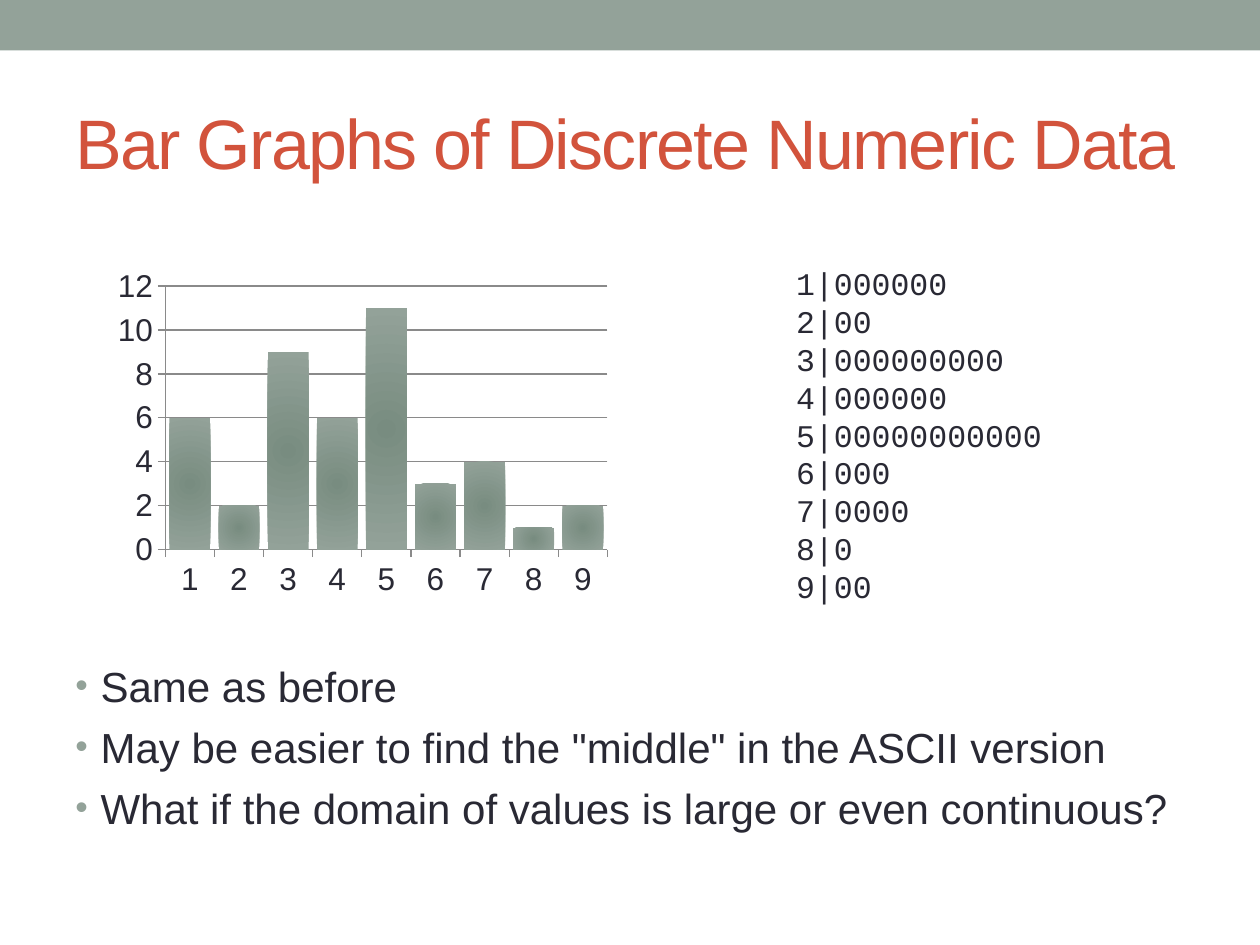
from lxml import etree
from pptx import Presentation
from pptx.chart.data import CategoryChartData
from pptx.dml.color import RGBColor
from pptx.enum import chart as ch, shapes, text
from pptx.oxml.ns import qn
from pptx.util import Inches, Pt

COLORS = {
    "sage": "93A299",
    "sage_dark": "788C80",
    "rust": "D2533C",
    "ink": "292934",
    "grid": "8A8A8A",
}
COUNTS = [6, 2, 9, 6, 11, 3, 4, 1, 2]
POINTS = [
    "Same as before",
    'May be easier to find the "middle" in the ASCII version',
    "What if the domain of values is large or even continuous?",
]


def rgb(name):
    return RGBColor.from_string(COLORS[name])


def add_bullet(paragraph):
    props = paragraph._p.get_or_add_pPr()
    props.set("marL", str(Inches(0.2)))
    props.set("indent", str(Inches(-0.2)))
    color = etree.SubElement(props, qn("a:buClr"))
    etree.SubElement(color, qn("a:srgbClr"), val=COLORS["sage"])
    etree.SubElement(props, qn("a:buSzPct"), val="85000")
    etree.SubElement(props, qn("a:buFont"), typeface="Arial")
    etree.SubElement(props, qn("a:buChar"), char="•")


def write(frame, lines, size, font="Arial", color="ink", wrap=True,
          anchor=text.MSO_ANCHOR.TOP, bullets=False, gap=0, spacing=None):
    """Fill a text frame with one paragraph per line."""
    frame.word_wrap = wrap
    frame.vertical_anchor = anchor
    for i, line in enumerate(lines):
        paragraph = frame.paragraphs[0] if i == 0 else frame.add_paragraph()
        paragraph.alignment = text.PP_ALIGN.LEFT
        paragraph.space_before = Pt(gap if i else 0)
        if bullets:
            add_bullet(paragraph)
        run = paragraph.add_run()
        run.text = line
        run.font.size = Pt(size)
        run.font.name = font
        run.font.color.rgb = rgb(color)
        if spacing is not None:
            run.font._element.set("spc", str(int(spacing * 100)))


def add_band(slide, left, top, width, height):
    band = slide.shapes.add_shape(shapes.MSO_SHAPE.RECTANGLE, left, top, width, height)
    band.shadow.inherit = False
    band.fill.solid()
    band.fill.fore_color.rgb = rgb("sage")
    band.line.fill.background()


def set_title(slide, left, top, width, height):
    title = slide.shapes.title
    title.left, title.top, title.width, title.height = left, top, width, height
    title.text_frame.auto_size = text.MSO_AUTO_SIZE.NONE
    write(title.text_frame, ["Bar Graphs of Discrete Numeric Data"], 40,
          color="rust", anchor=text.MSO_ANCHOR.MIDDLE, spacing=-1)


def fill_radial(fill, center, edge):
    fill.gradient()
    for stop, name in zip(fill.gradient_stops, (center, edge)):
        stop.color.rgb = rgb(name)
    gradient = fill._xPr.find(qn("a:gradFill"))
    gradient.remove(gradient.find(qn("a:lin")))
    circle = etree.SubElement(gradient, qn("a:path"))
    circle.set("path", "circle")
    etree.SubElement(circle, qn("a:fillToRect"), l="50000", t="50000", r="50000", b="50000")


def fix_plot_area(chart, x, y, w, h):
    """Place the inner plot area by fractions of the chart's size."""
    plot_area = chart._chartSpace.chart.plotArea
    old = plot_area.find(qn("c:layout"))
    if old is not None:
        plot_area.remove(old)
    layout = etree.Element(qn("c:layout"))
    plot_area.insert(0, layout)
    manual = etree.SubElement(layout, qn("c:manualLayout"))
    settings = {"layoutTarget": "inner", "xMode": "edge", "yMode": "edge",
                "x": x, "y": y, "w": w, "h": h}
    for tag, value in settings.items():
        etree.SubElement(manual, qn(f"c:{tag}"), val=str(value))


def add_bar_graph(slide, left, top, width, height):
    data = CategoryChartData()
    data.categories = [str(n) for n in range(1, len(COUNTS) + 1)]
    data.add_series("Series 1", COUNTS)
    chart = slide.shapes.add_chart(
        ch.XL_CHART_TYPE.COLUMN_CLUSTERED, left, top, width, height, data).chart
    chart.has_legend = False
    chart.has_title = False
    chart.font.name = "Arial"
    chart.font.size = Pt(18)
    chart.font.color.rgb = rgb("ink")
    fix_plot_area(chart, 0.122, 0.077, 0.82, 0.732)

    counts, values = chart.value_axis, chart.category_axis
    for axis in (counts, values):
        axis.major_tick_mark = ch.XL_TICK_MARK.OUTSIDE
        axis.tick_labels.font.size = Pt(18)
        axis.format.line.color.rgb = rgb("grid")
        axis.format.line.width = Pt(0.75)
    counts.minimum_scale, counts.maximum_scale, counts.major_unit = 0, 12, 2
    counts.has_major_gridlines = True
    counts.major_gridlines.format.line.color.rgb = rgb("grid")
    counts.major_gridlines.format.line.width = Pt(0.75)

    plot = chart.plots[0]
    plot.gap_width = 20
    plot.vary_by_categories = False
    fill_radial(plot.series[0].format.fill, "sage_dark", "sage")


def add_ascii_graph(slide, left, top, width, height):
    frame = slide.shapes.add_textbox(left, top, width, height).text_frame
    rows = [f"{n}|{'0' * count}" for n, count in enumerate(COUNTS, 1)]
    write(frame, rows, 18, font="Courier New", wrap=False)


def add_points(slide, left, top, width, height):
    frame = slide.shapes.add_textbox(left, top, width, height).text_frame
    write(frame, POINTS, 24, bullets=True, gap=6)


def main():
    deck = Presentation()
    deck.slide_width, deck.slide_height = Inches(10), Inches(7.5)
    slide = deck.slides.add_slide(deck.slide_layouts[5])
    add_band(slide, 0, 0, deck.slide_width, Inches(0.4))
    set_title(slide, Inches(0.5), Inches(0.58), Inches(9), Inches(1.08))
    add_points(slide, Inches(0.5), Inches(5.19), Inches(9), Inches(1.89))
    add_bar_graph(slide, Inches(0.79), Inches(2.05), Inches(4.28), Inches(2.86))
    add_ascii_graph(slide, Inches(6.22), Inches(2.05), Inches(2.17), Inches(2.83))
    deck.save("out.pptx")


if __name__ == "__main__":
    main()
